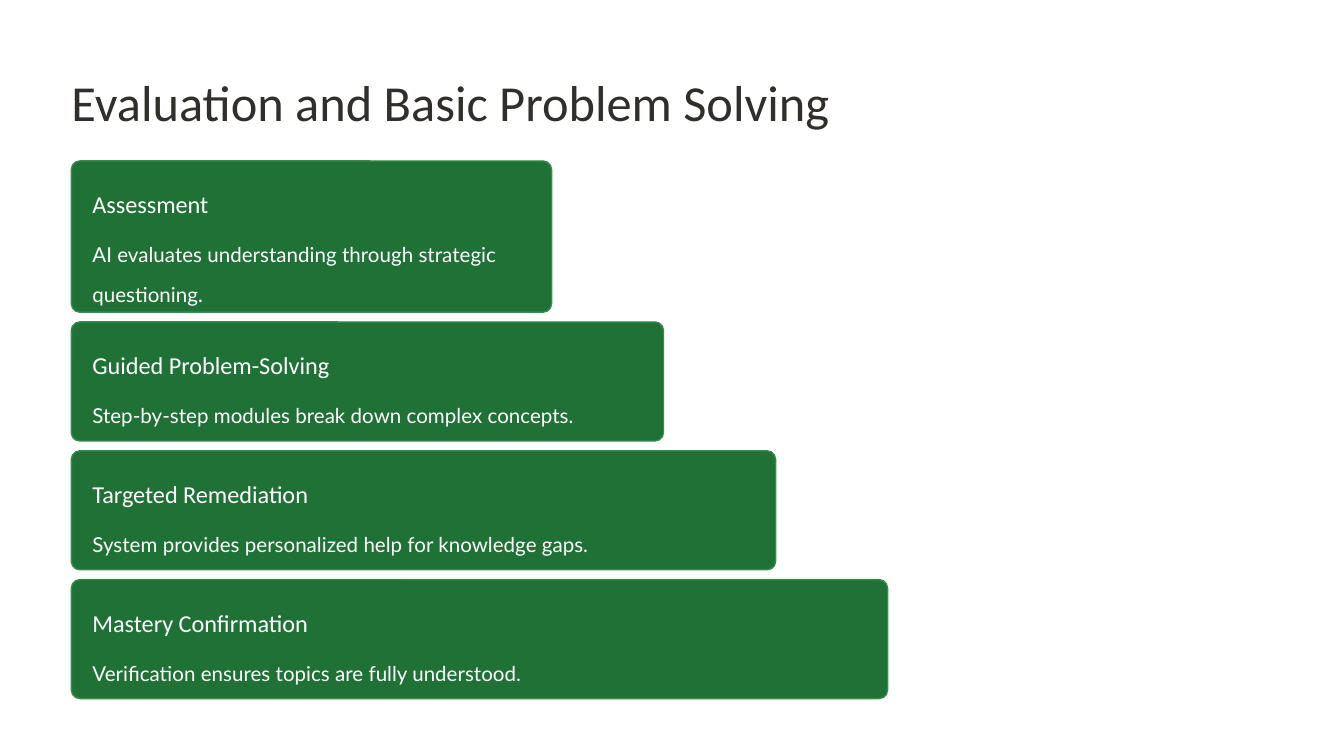
from dataclasses import dataclass

from pptx import Presentation
from pptx.dml.color import RGBColor
from pptx.enum.shapes import MSO_SHAPE
from pptx.enum.text import MSO_ANCHOR, MSO_AUTO_SIZE, PP_ALIGN
from pptx.util import Emu, Pt

ROUNDED_RECTANGLE = MSO_SHAPE.ROUNDED_RECTANGLE
TOP = MSO_ANCHOR.TOP
NO_AUTOFIT = MSO_AUTO_SIZE.NONE
LEFT = PP_ALIGN.LEFT
TITLE_ONLY_LAYOUT = 5

EMU_PER_PX = 9525  # 96 px to the inch
SLIDE_WIDTH, SLIDE_HEIGHT = 960, 540

MARGIN = 51
FIRST_CARD_TOP = 115
CARD_GAP = 7
FIRST_CARD_WIDTH = 343
CARD_GROWTH = 80
CARD_PADDING = 15
CORNER_RADIUS = 6
HEADING_HEIGHT = 23
BODY_OFFSET = 47


@dataclass(frozen=True)
class TextStyle:
    font: str
    size: int
    color: RGBColor
    line_spacing: float


@dataclass(frozen=True)
class Theme:
    background = RGBColor(0xFF, 0xFF, 0xFF)
    card_fill = RGBColor(0x1F, 0x71, 0x35)
    card_line = RGBColor(0x38, 0x8A, 0x4E)
    card_line_width = 0.75
    title = TextStyle("Calibri", 27, RGBColor(0x31, 0x2F, 0x2B), 1.25)
    heading = TextStyle("Calibri", 13, RGBColor(0xFF, 0xFF, 0xFF), 1.26)
    body = TextStyle("Lato", 11, RGBColor(0xFF, 0xFF, 0xFF), 1.62)


THEME = Theme()

# heading, heading width, body, card height
STEPS = [
    ("Assessment", 182,
     "AI evaluates understanding through strategic questioning.", 108),
    ("Guided Problem-Solving", 198,
     "Step-by-step modules break down complex concepts.", 85),
    ("Targeted Remediation", 182,
     "System provides personalized help for knowledge gaps.", 85),
    ("Mastery Confirmation", 182,
     "Verification ensures topics are fully understood.", 85),
]


def px(value):
    return Emu(value * EMU_PER_PX)


def set_attributes(target, values):
    for name, value in values.items():
        setattr(target, name, value)


def write_text(shape, text, style):
    """Fill a shape with one left-aligned paragraph, without insets."""
    frame = shape.text_frame
    frame.text = text
    set_attributes(frame, {
        "word_wrap": True, "auto_size": NO_AUTOFIT, "vertical_anchor": TOP,
        "margin_left": 0, "margin_top": 0,
        "margin_right": 0, "margin_bottom": 0,
    })
    paragraph = frame.paragraphs[0]
    set_attributes(paragraph, {
        "alignment": LEFT, "line_spacing": style.line_spacing,
        "space_before": Pt(0),
    })
    set_attributes(paragraph.font, {"name": style.font, "size": Pt(style.size)})
    paragraph.font.color.rgb = style.color


def set_title(slide, text):
    title = slide.shapes.title
    set_attributes(title, {
        "left": px(MARGIN), "top": px(40), "width": px(612), "height": px(45),
    })
    write_text(title, text, THEME.title)


def add_text(slide, box, text, style):
    shape = slide.shapes.add_textbox(*map(px, box))
    write_text(shape, text, style)


def add_card(slide, left, top, width, height):
    card = slide.shapes.add_shape(
        ROUNDED_RECTANGLE, *map(px, (left, top, width, height)))
    card.adjustments[0] = CORNER_RADIUS / height
    card.shadow.inherit = False
    card.fill.solid()
    card.fill.fore_color.rgb = THEME.card_fill
    card.line.color.rgb = THEME.card_line
    card.line.width = Pt(THEME.card_line_width)


def add_steps(slide):
    """Stack the cards, each wider than the one above by an equal amount."""
    top = FIRST_CARD_TOP
    text_left = MARGIN + CARD_PADDING
    for index, (heading, heading_width, body, height) in enumerate(STEPS):
        width = FIRST_CARD_WIDTH + index * CARD_GROWTH
        add_card(slide, MARGIN, top, width, height)
        add_text(slide,
                 (text_left, top + CARD_PADDING, heading_width, HEADING_HEIGHT),
                 heading, THEME.heading)
        add_text(slide,
                 (text_left, top + BODY_OFFSET, width - 2 * CARD_PADDING,
                  height - BODY_OFFSET - CARD_PADDING),
                 body, THEME.body)
        top += height + CARD_GAP


def main():
    presentation = Presentation()
    presentation.slide_width = px(SLIDE_WIDTH)
    presentation.slide_height = px(SLIDE_HEIGHT)
    slide = presentation.slides.add_slide(
        presentation.slide_layouts[TITLE_ONLY_LAYOUT])
    slide.background.fill.solid()
    slide.background.fill.fore_color.rgb = THEME.background
    set_title(slide, "Evaluation and Basic Problem Solving")
    add_steps(slide)
    presentation.save("out.pptx")


if __name__ == "__main__":
    main()
